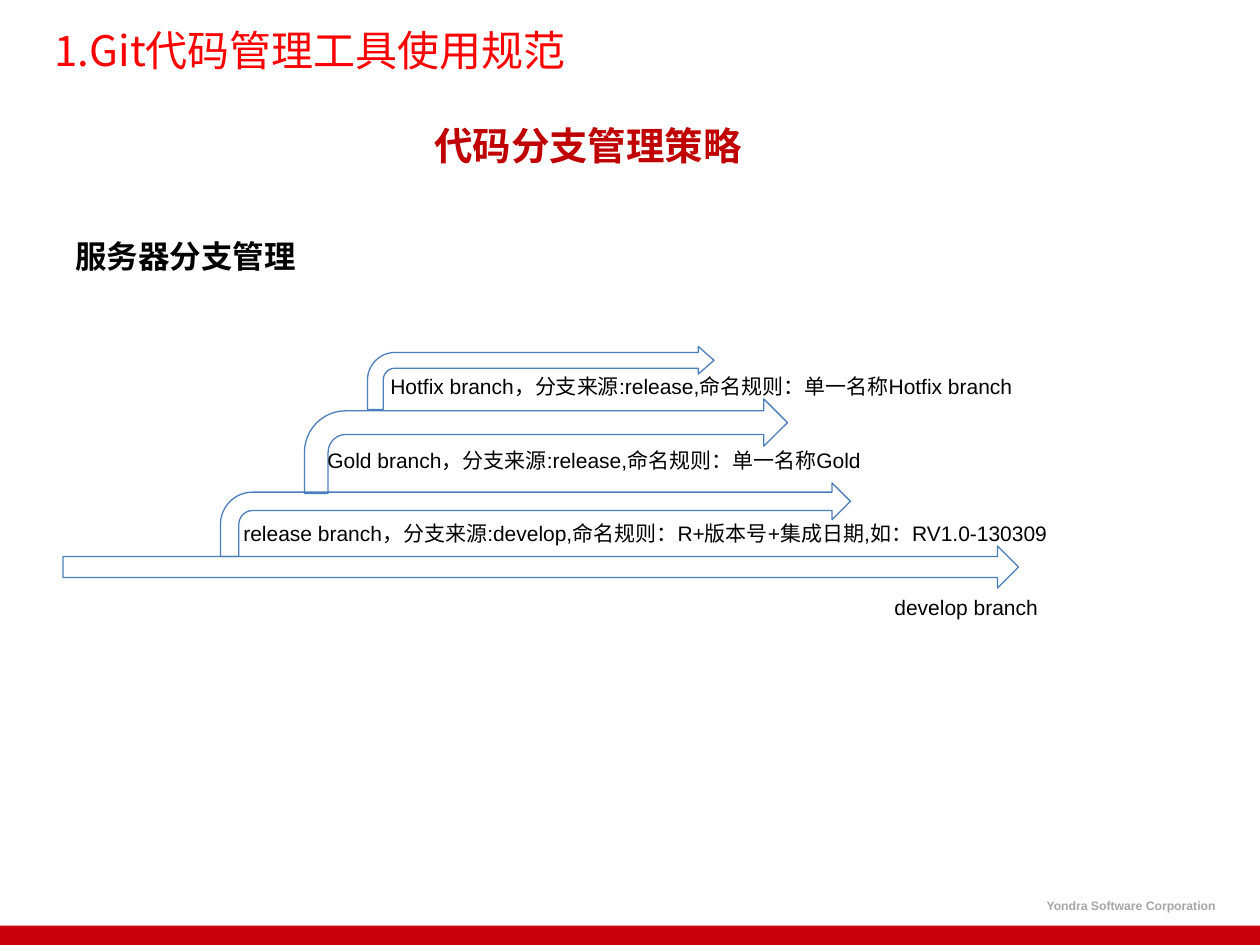
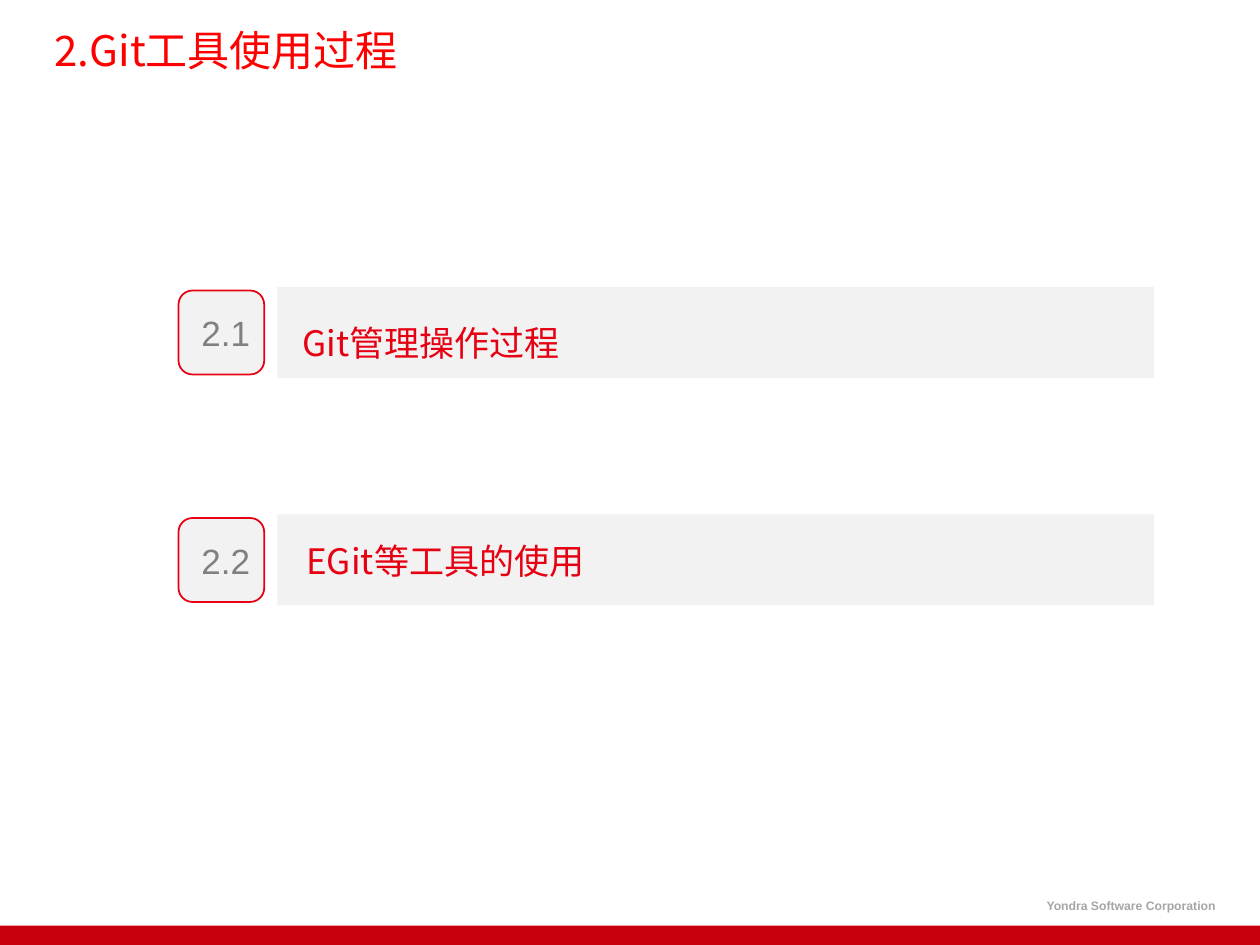
from pptx import Presentation
from pptx.dml.color import RGBColor
from pptx.enum.shapes import MSO_SHAPE
from pptx.enum.text import MSO_ANCHOR, PP_ALIGN
from pptx.oxml.ns import qn
from pptx.util import Pt
from lxml import etree

RECT = MSO_SHAPE.RECTANGLE
ROUND = MSO_SHAPE.ROUNDED_RECTANGLE
RIGHT = MSO_SHAPE.RIGHT_ARROW
BENT = MSO_SHAPE.BENT_ARROW
LEFT, CENTER = PP_ALIGN.LEFT, PP_ALIGN.CENTER
MIDDLE = MSO_ANCHOR.MIDDLE

HUES = {
    "band": "C8000E", "foot": "A6A6A6", "title": "FF0000", "head": "C00000",
    "arrow": "4B7EBC", "text": "000000", "panel": "F2F2F2", "red": "E60012",
    "num": "808080",
}
LATIN, HAN = "Arial", "Noto Sans CJK SC"


def write(shape, text, size, hue, font=LATIN, bold=False, align=LEFT):
    frame = shape.text_frame
    frame.word_wrap = True
    frame.text = text
    para = frame.paragraphs[0]
    para.alignment = align
    for run in para.runs:
        run.font.size = Pt(size)
        run.font.bold = bold
        run.font.name = font
        run.font.color.rgb = RGBColor.from_string(HUES[hue])
        east = etree.Element(qn("a:ea"), typeface=HAN)
        run.font._element.find(qn("a:latin")).addnext(east)
    return frame


def draw(slide, kind, box, fill=None, line=None, width=1):
    shape = slide.shapes.add_shape(kind, *map(Pt, box))
    shape.shadow.inherit = False
    if fill:
        shape.fill.solid()
        shape.fill.fore_color.rgb = RGBColor.from_string(HUES[fill])
    else:
        shape.fill.background()
    if line:
        shape.line.color.rgb = RGBColor.from_string(HUES[line])
        shape.line.width = Pt(width)
    else:
        shape.line.fill.background()
    return shape


deck = Presentation()
deck.slide_width, deck.slide_height = Pt(720), Pt(540)

pages = []
for name in ("1.Git代码管理工具使用规范", "2.Git工具使用过程"):
    page = deck.slides.add_slide(deck.slide_layouts[5])
    draw(page, RECT, (0, 529, 720, 11), fill="band")
    foot = page.shapes.add_textbox(Pt(591), Pt(510), Pt(114), Pt(16))
    write(foot, "Yondra Software Corporation", 7, "foot", bold=True).word_wrap = False
    title = page.shapes.title
    title.left, title.top, title.width, title.height = map(Pt, (24, 12, 582, 33))
    write(title, name, 24, "title", HAN).vertical_anchor = MIDDLE
    pages.append(page)
flow, steps = pages

head = flow.shapes.add_textbox(Pt(24), Pt(66), Pt(624), Pt(34))
write(head, "代码分支管理策略", 22, "head", HAN, True, CENTER)
topic = flow.shapes.add_textbox(Pt(36), Pt(132), Pt(180), Pt(29))
write(topic, "服务器分支管理", 18, "text", bold=True)

branches = [
    (RIGHT, (36, 312, 546, 24), (504, 336, 120), "develop branch"),
    (BENT, (126, 276, 360, 42), (132, 294, 504),
     "release branch，分支来源:develop,命名规则：R+版本号+集成日期,如：RV1.0-130309"),
    (BENT, (174, 228, 276, 54), (180, 252, 504),
     "Gold branch，分支来源:release,命名规则：单一名称Gold"),
    (BENT, (210, 198, 198, 36), (216, 210, 504),
     "Hotfix branch，分支来源:release,命名规则：单一名称Hotfix branch"),
]
for kind, box, (left, top, width), text in branches:
    arrow = draw(flow, kind, box, line="arrow", width=0.75)
    label = flow.shapes.add_textbox(Pt(left), Pt(top), Pt(width), Pt(22))
    write(label, text, 12, "text")
arrow.adjustments[1] = 0.22

for row, text in enumerate(("Git管理操作过程", "EGit等工具的使用")):
    top = 164 + 130 * row
    draw(steps, ROUND, (102, top + 2, 49, 48), "panel", "red")
    panel = draw(steps, RECT, (158.5, top, 501, 52), "panel")
    num = steps.shapes.add_textbox(Pt(108), Pt(top + 10.5), Pt(43), Pt(32))
    write(num, f"2.{row + 1}", 20, "num").word_wrap = False
    if row == 0:
        frame = write(panel, text, 20, "red", HAN)
        frame.vertical_anchor = MIDDLE
        frame.margin_left = Pt(14.4)
        frame.paragraphs[0].line_spacing = 1.5
    else:
        label = steps.shapes.add_textbox(Pt(168), Pt(top + 10.5), Pt(252), Pt(32))
        write(label, text, 20, "red", HAN)

deck.save("out.pptx")
